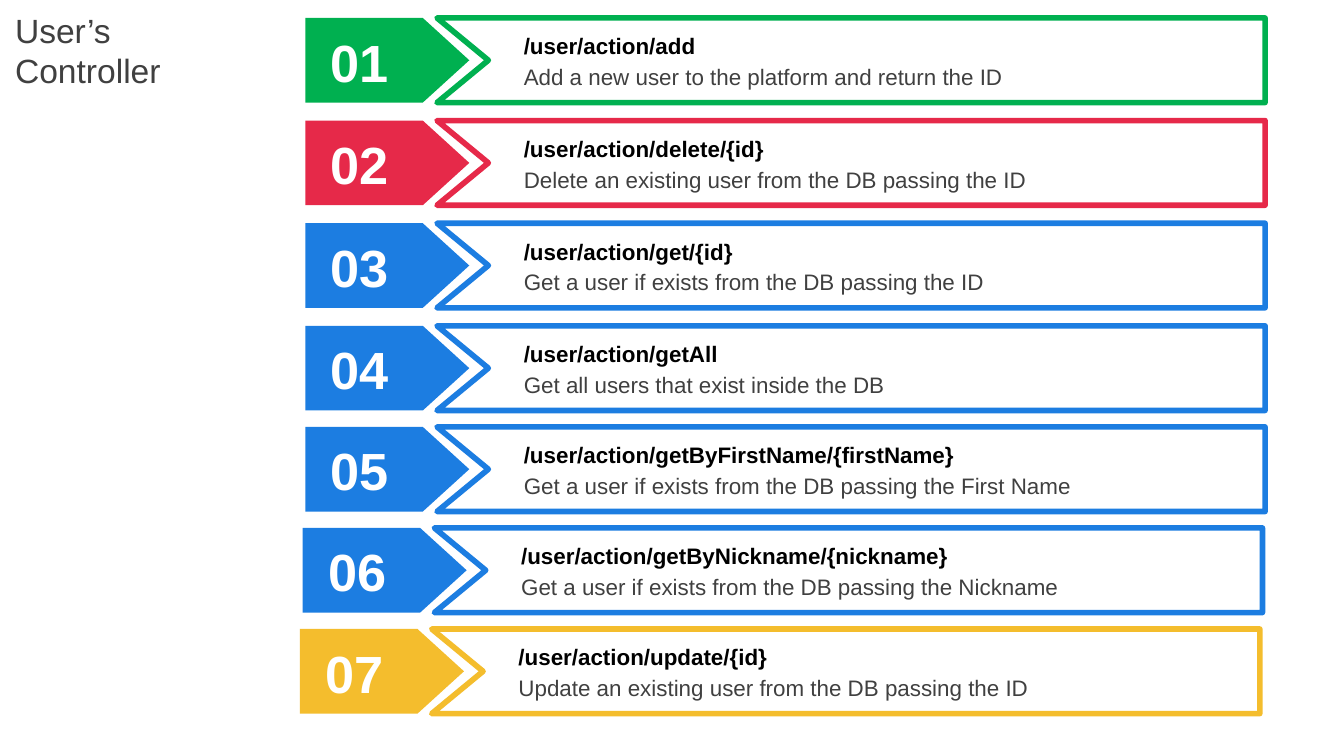
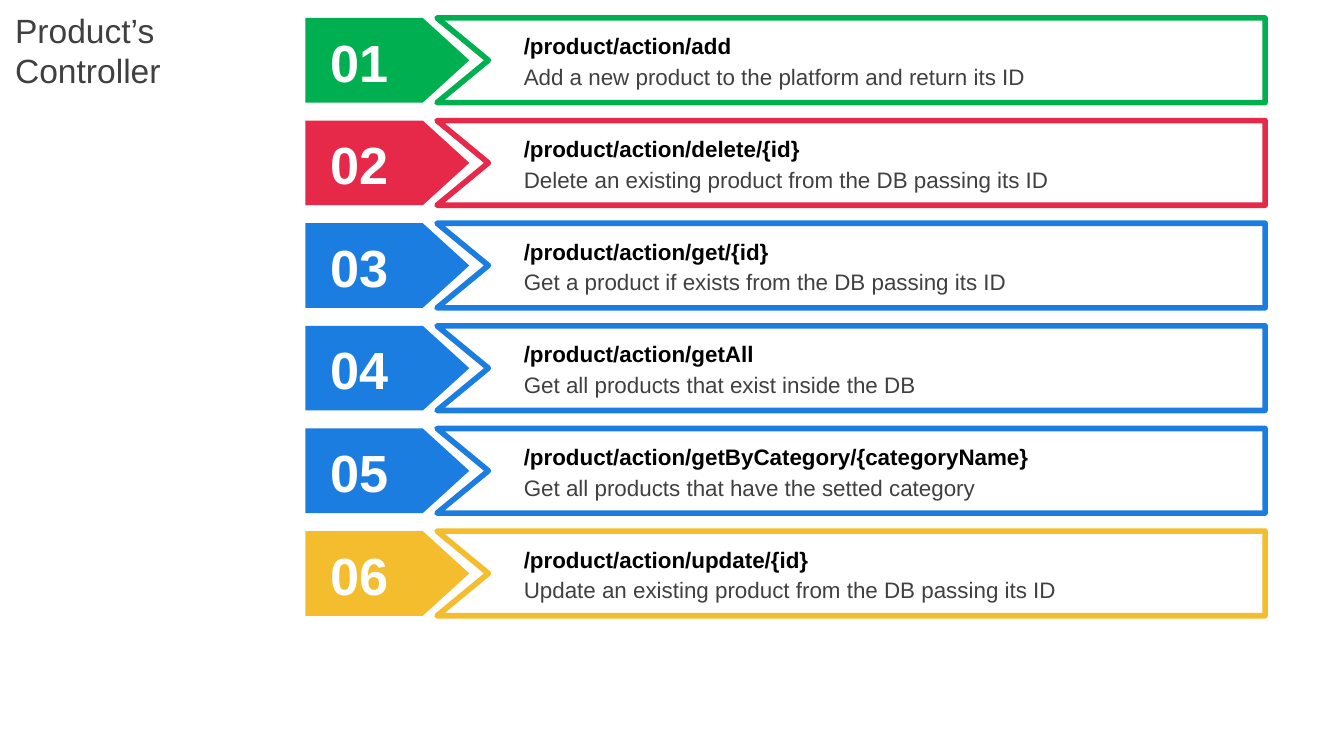
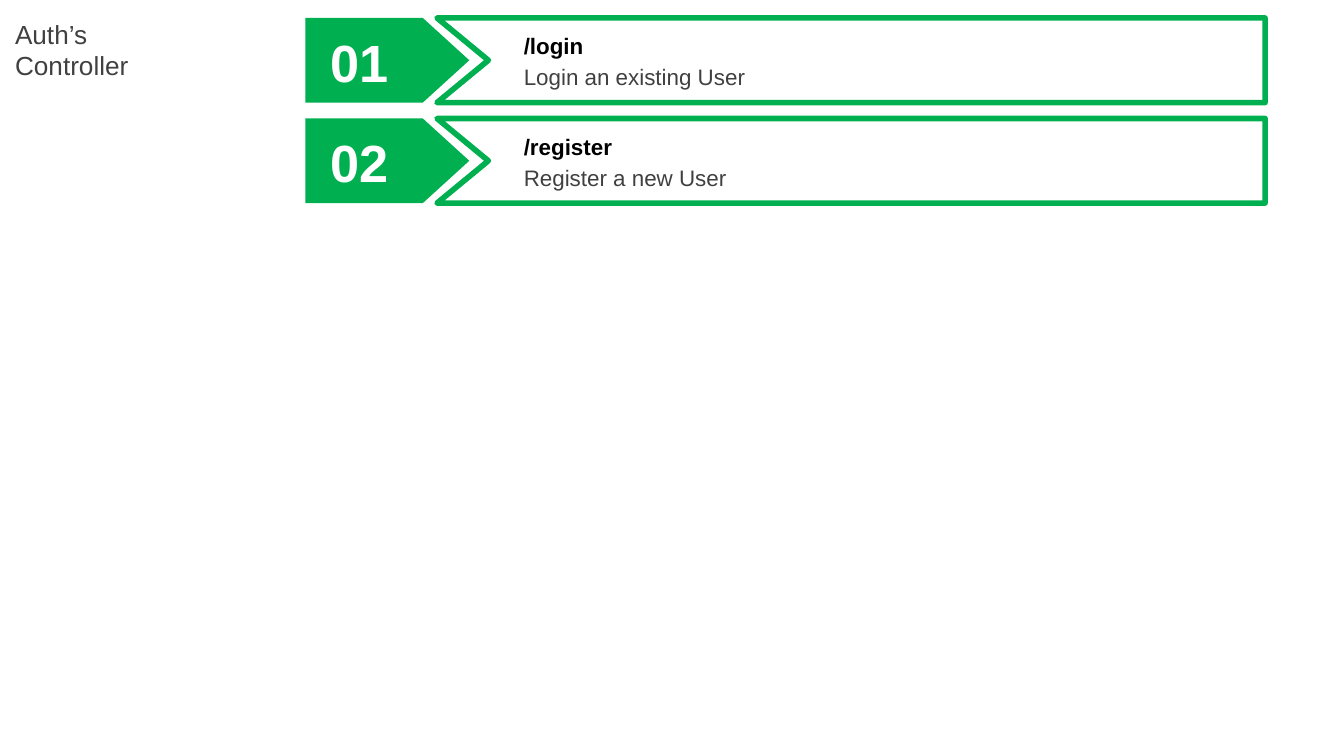
"""Build three slides that list the endpoints of the API controllers."""
from pptx import Presentation
from pptx import util as u
from pptx.dml.color import RGBColor
from pptx.enum import shapes, text

FONT = "Arial"
COLORS = {
    "add": "00B050", "delete": "E62949", "get": "1C7DE1", "update": "F4BD2D",
    "white": "FFFFFF", "path": "000000", "body": "404040",
}

CONTROLLERS = [
    {
        "title": "User’s Controller", "size": 18,
        "pitches": [1.94, 1.94, 1.94, 1.91, 1.91, 1.91],
        "shifts": [0, 0, 0, 0, 0, -0.05, -0.1],
        "endpoints": [
            ("add", "/user/action/add", "Add a new user to the platform and return the ID"),
            ("delete", "/user/action/delete/{id}", "Delete an existing user from the DB passing the ID"),
            ("get", "/user/action/get/{id}", "Get a user if exists from the DB passing the ID"),
            ("get", "/user/action/getAll", "Get all users that exist inside the DB"),
            ("get", "/user/action/getByFirstName/{firstName}",
             "Get a user if exists from the DB passing the First Name"),
            ("get", "/user/action/getByNickname/{nickname}",
             "Get a user if exists from the DB passing the Nickname"),
            ("update", "/user/action/update/{id}", "Update an existing user from the DB passing the ID"),
        ],
    },
    {
        "title": "Product’s Controller", "size": 18,
        "pitches": [1.94] * 5, "shifts": [0] * 6,
        "endpoints": [
            ("add", "/product/action/add", "Add a new product to the platform and return its ID"),
            ("delete", "/product/action/delete/{id}", "Delete an existing product from the DB passing its ID"),
            ("get", "/product/action/get/{id}", "Get a product if exists from the DB passing its ID"),
            ("get", "/product/action/getAll", "Get all products that exist inside the DB"),
            ("get", "/product/action/getByCategory/{categoryName}",
             "Get all products that have the setted category"),
            ("update", "/product/action/update/{id}", "Update an existing product from the DB passing its ID"),
        ],
    },
    {
        "title": "Auth’s Controller", "size": 14,
        "pitches": [1.9], "shifts": [0] * 2,
        "endpoints": [
            ("add", "/login", "Login an existing User"),
            ("add", "/register", "Register a new User"),
        ],
    },
]

FIRST_TOP, ROW_LEFT, ROW_HEIGHT = 0.34, 5.77, 1.6
TAG_WIDTH, TAG_POINT = 3.1, 0.549
FRAME_OFFSET, FRAME_WIDTH, FRAME_NOTCH = 2.49, 15.65, 0.97


def rgb(name):
    return RGBColor.from_string(COLORS[name])


def add_run(paragraph, content, size, color, bold=False):
    run = paragraph.add_run()
    run.text = content
    run.font.name, run.font.size, run.font.bold = FONT, u.Pt(size), bold
    run.font.color.rgb = rgb(color)


def add_text(parent, box, content, size, color, bold=False):
    frame = parent.add_textbox(*map(u.Cm, box)).text_frame
    frame.word_wrap = True
    frame.auto_size = text.MSO_AUTO_SIZE.SHAPE_TO_FIT_TEXT
    add_run(frame.paragraphs[0], content, size, color, bold)
    return frame


def add_title(slide, content, size):
    title = slide.shapes.title
    title.left, title.top, title.width, title.height = map(u.Cm, (0.03, 0.15, 4.08, 1.58))
    frame = title.text_frame
    frame.word_wrap = True
    frame.auto_size = text.MSO_AUTO_SIZE.NONE
    frame.vertical_anchor = text.MSO_ANCHOR.MIDDLE
    paragraph = frame.paragraphs[0]
    paragraph.alignment = text.PP_ALIGN.LEFT
    add_run(paragraph, content, size, "body")


def add_tag(slide, left, top, color):
    tag = slide.shapes.add_shape(
        shapes.MSO_SHAPE.PENTAGON, *map(u.Cm, (left, top, TAG_WIDTH, ROW_HEIGHT)))
    tag.adjustments[0] = TAG_POINT
    tag.shadow.inherit = False
    tag.fill.solid()
    tag.fill.fore_color.rgb = rgb(color)
    tag.line.fill.background()


def add_frame(slide, left, top, color):
    right, bottom = left + FRAME_WIDTH, top + ROW_HEIGHT
    corners = [(right, top), (right, bottom), (left, bottom),
               (left + FRAME_NOTCH, top + ROW_HEIGHT / 2)]
    builder = slide.shapes.build_freeform(u.Cm(left), u.Cm(top))
    builder.add_line_segments([(u.Cm(x), u.Cm(y)) for x, y in corners], close=True)
    frame = builder.convert_to_shape()
    frame.shadow.inherit = False
    frame.fill.solid()
    frame.fill.fore_color.rgb = rgb("white")
    frame.line.color.rgb = rgb(color)
    frame.line.width = u.Pt(3)


def add_endpoint(slide, number, left, top, endpoint):
    color, route, description = endpoint
    add_tag(slide, left, top, color)
    add_frame(slide, left + FRAME_OFFSET, top, color)
    label = add_text(slide.shapes, (left + 0.23, top + 0.22, 1.68, 1.19),
                     f"{number:02}", 28, "white", True)
    label.margin_top = label.margin_bottom = 0
    label.vertical_anchor = text.MSO_ANCHOR.MIDDLE
    group = slide.shapes.add_group_shape()
    for offset, content, ink, bold in ((0.15, route, "path", True),
                                       (0.73, description, "body", False)):
        add_text(group.shapes, (left + 3.88, top + offset, 13.46, 0.77),
                 content, 12, ink, bold)


def add_controller(presentation, controller):
    slide = presentation.slides.add_slide(presentation.slide_layouts[5])
    add_title(slide, controller["title"], controller["size"])
    rows = zip(controller["endpoints"], controller["shifts"])
    for index, (endpoint, shift) in enumerate(rows):
        top = FIRST_TOP + sum(controller["pitches"][:index])
        add_endpoint(slide, index + 1, ROW_LEFT + shift, top, endpoint)


def main():
    presentation = Presentation()
    presentation.slide_width, presentation.slide_height = u.Cm(25.4), u.Cm(14.29)
    for controller in CONTROLLERS:
        add_controller(presentation, controller)
    presentation.save("out.pptx")


if __name__ == "__main__":
    main()
